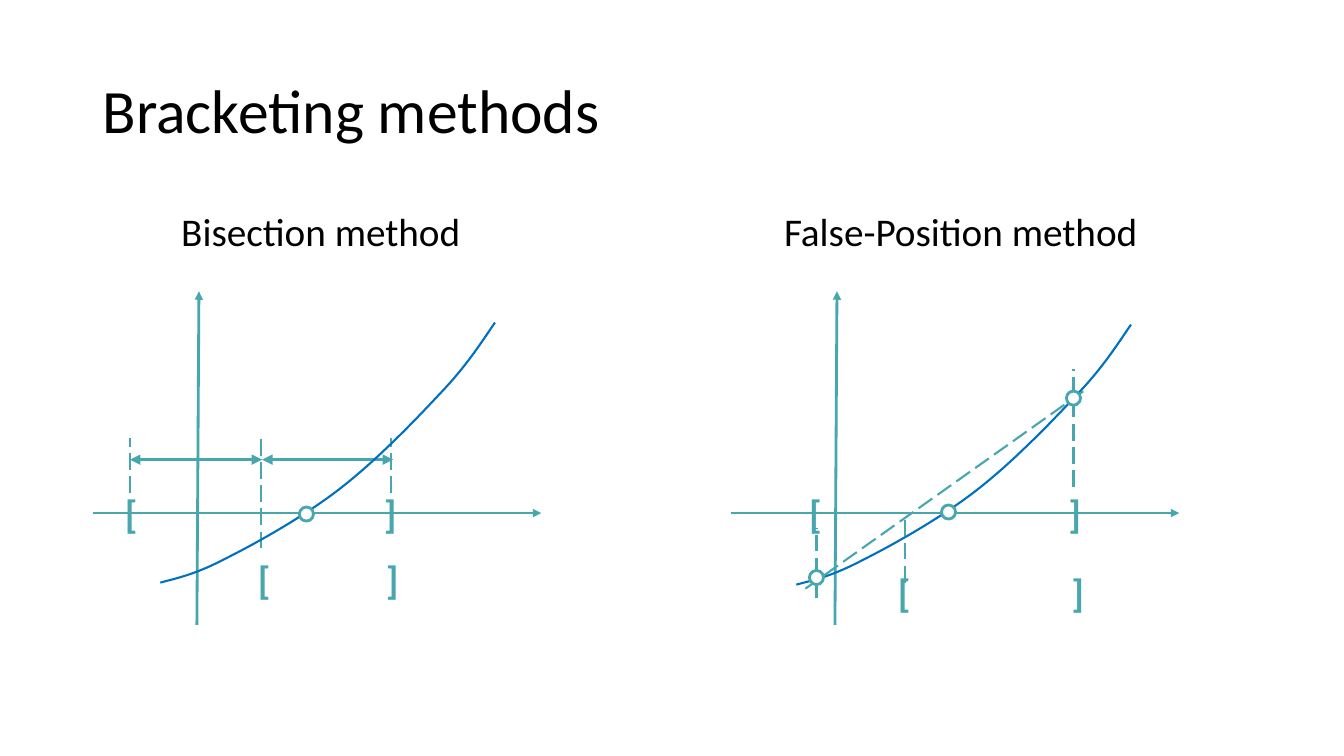
from dataclasses import dataclass

import pptx
import pptx.dml.color
import pptx.enum.dml
import pptx.enum.shapes
import pptx.enum.text
import pptx.oxml.ns
import pptx.oxml.xmlchemy
import pptx.util


@dataclass(frozen=True)
class Theme:
    font: str = "Calibri"
    ink: str = "000000"
    teal: str = "48A6AD"
    blue: str = "0070C0"
    paper: str = "FFFFFF"
    title_size: float = 44
    label_size: float = 28
    dash_width: float = 1.5
    axis_width: float = 2
    span_width: float = 2.5


THEME = Theme()
SLIDE_WIDTH = pptx.util.Inches(13.33)
SLIDE_HEIGHT = pptx.util.Inches(7.5)
COLUMNS, ROWS = 40, 30
LABEL_ROWS = 2.28
AXIS_ROW = 20.36
CURVE_CONTROLS = [
    (0, 0),
    (0.57, -0.2), (1.11, -0.36), (2.01, -1),
    (2.91, -1.6), (4.29, -2.64), (5.34, -3.72),
    (6.39, -4.8), (7.53, -6.36), (8.31, -7.48),
    (9.09, -8.56), (9.51, -9.44), (9.96, -10.32),
]


def across(columns):
    return round(SLIDE_WIDTH * columns / COLUMNS)


def down(rows):
    return round(SLIDE_HEIGHT * rows / ROWS)


def color(value):
    return pptx.dml.color.RGBColor.from_string(value)


def write_text(shape, text, size=THEME.label_size, ink=THEME.ink, bold=False, spacing=1.0):
    para = shape.text_frame.paragraphs[0]
    para.alignment = pptx.enum.text.PP_ALIGN.LEFT
    para.line_spacing = spacing
    span = para.add_run()
    span.text = text
    span.font.name = THEME.font
    span.font.size = pptx.util.Pt(size)
    span.font.bold = bold
    span.font.color.rgb = color(ink)


def add_title(page, text):
    title = page.shapes.title
    title.left, title.top = across(2.76), down(1.6)
    title.width, title.height = across(34.5), down(5.8)
    title.text_frame.vertical_anchor = pptx.enum.text.MSO_ANCHOR.MIDDLE
    write_text(title, text, size=THEME.title_size, spacing=0.9)


def add_label(page, text, left, top, width, **text_format):
    box = page.shapes.add_textbox(across(left), down(top), across(width), down(LABEL_ROWS))
    box.text_frame.word_wrap = False
    box.text_frame.auto_size = pptx.enum.text.MSO_AUTO_SIZE.SHAPE_TO_FIT_TEXT
    write_text(box, text, **text_format)


def add_bracket_pair(page, left, right, top):
    for text, column in (("[", left), ("]", right)):
        add_label(page, text, column, top, 1, ink=THEME.teal, bold=True)


def add_line(page, start, end, width, dashed=False, arrows=()):
    line = page.shapes.add_connector(
        pptx.enum.shapes.MSO_CONNECTOR.STRAIGHT,
        across(start[0]), down(start[1]), across(end[0]), down(end[1]),
    )
    line.line.color.rgb = color(THEME.teal)
    line.line.width = pptx.util.Pt(width)
    if dashed:
        line.line.dash_style = pptx.enum.dml.MSO_LINE.LONG_DASH
    properties = line._element.find(pptx.oxml.ns.qn("p:spPr"))
    outline = properties.find(pptx.oxml.ns.qn("a:ln"))
    for end_name in arrows:
        arrow = pptx.oxml.xmlchemy.OxmlElement(f"a:{end_name}")
        arrow.set("type", "triangle")
        outline.append(arrow)
    properties.append(pptx.oxml.xmlchemy.OxmlElement("a:effectLst"))


def add_dashes(page, segments):
    for start, end in segments:
        add_line(page, start, end, THEME.dash_width, dashed=True)


def add_marker(page, column, row):
    marker = page.shapes.add_shape(
        pptx.enum.shapes.MSO_SHAPE.OVAL,
        across(column - 0.21), down(row - 0.28), across(0.42), down(0.56),
    )
    marker.shadow.inherit = False
    marker.fill.solid()
    marker.fill.fore_color.rgb = color(THEME.paper)
    marker.line.color.rgb = color(THEME.teal)
    marker.line.width = pptx.util.Pt(THEME.axis_width)


def bezier_points(controls, steps=16):
    points = []
    for first in range(0, len(controls) - 1, 3):
        piece = controls[first:first + 4]
        for step in range(1, steps + 1):
            t = step / steps
            weights = ((1 - t) ** 3, 3 * t * (1 - t) ** 2, 3 * t * t * (1 - t), t ** 3)
            points.append(tuple(
                sum(weight * point[axis] for weight, point in zip(weights, piece))
                for axis in (0, 1)
            ))
    return points


def add_curve(page, column, row):
    builder = page.shapes.build_freeform(across(column), down(row))
    builder.add_line_segments(
        [(across(column + x), down(row + y)) for x, y in bezier_points(CURVE_CONTROLS)],
        close=False,
    )
    curve = builder.convert_to_shape()
    curve.shadow.inherit = False
    curve.fill.background()
    curve.line.color.rgb = color(THEME.blue)
    curve.line.width = pptx.util.Pt(THEME.dash_width)


def add_graph(page, left, curve_start):
    axes = (
        ((left, AXIS_ROW), (left + 13.35, AXIS_ROW)),
        ((left + 3.1, 24.8), (left + 3.16, 11.56)),
    )
    for start, end in axes:
        add_line(page, start, end, THEME.axis_width, arrows=["tailEnd"])
    add_curve(page, *curve_start)


def add_bisection(page):
    add_label(page, "Bisection method", 5.1, 8.04, 9)
    add_bracket_pair(page, 3.42, 11.13, 19.24)
    add_bracket_pair(page, 7.38, 11.19, 21.84)
    for start, end in ((7.8, 11.7), (3.87, 7.8)):
        add_line(page, (start, 18.24), (end, 18.24), THEME.span_width,
                 arrows=["headEnd", "tailEnd"])
    add_dashes(page, [((column, bottom), (column, 17.4))
                      for column, bottom in ((3.87, 19.56), (11.64, 19.56), (7.77, 21.76))])
    add_graph(page, 2.76, (4.77, 23.12))
    add_marker(page, 9.12, 20.4)


def add_false_position(page):
    add_label(page, "False-Position method", 23.04, 8.04, 11.25)
    add_bracket_pair(page, 23.79, 31.5, 19.24)
    add_bracket_pair(page, 26.43, 31.59, 22.36)
    add_graph(page, 21.75, (23.7, 23.2))
    add_dashes(page, [
        ((26.94, 23.12), (26.94, 20.36)),
        ((24.3, 23.72), (24.3, 20.96)),
        ((31.95, 19.32), (31.95, 14.64)),
        ((23.97, 23.36), (32.25, 15.52)),
    ])
    for column, row in ((28.23, 20.32), (31.95, 15.8), (24.3, 22.92)):
        add_marker(page, column, row)


def main():
    deck = pptx.Presentation()
    deck.slide_width, deck.slide_height = SLIDE_WIDTH, SLIDE_HEIGHT
    page = deck.slides.add_slide(deck.slide_layouts[5])
    page.background.fill.solid()
    page.background.fill.fore_color.rgb = color(THEME.paper)
    add_title(page, "Bracketing methods")
    add_bisection(page)
    add_false_position(page)
    deck.save("out.pptx")


if __name__ == "__main__":
    main()
